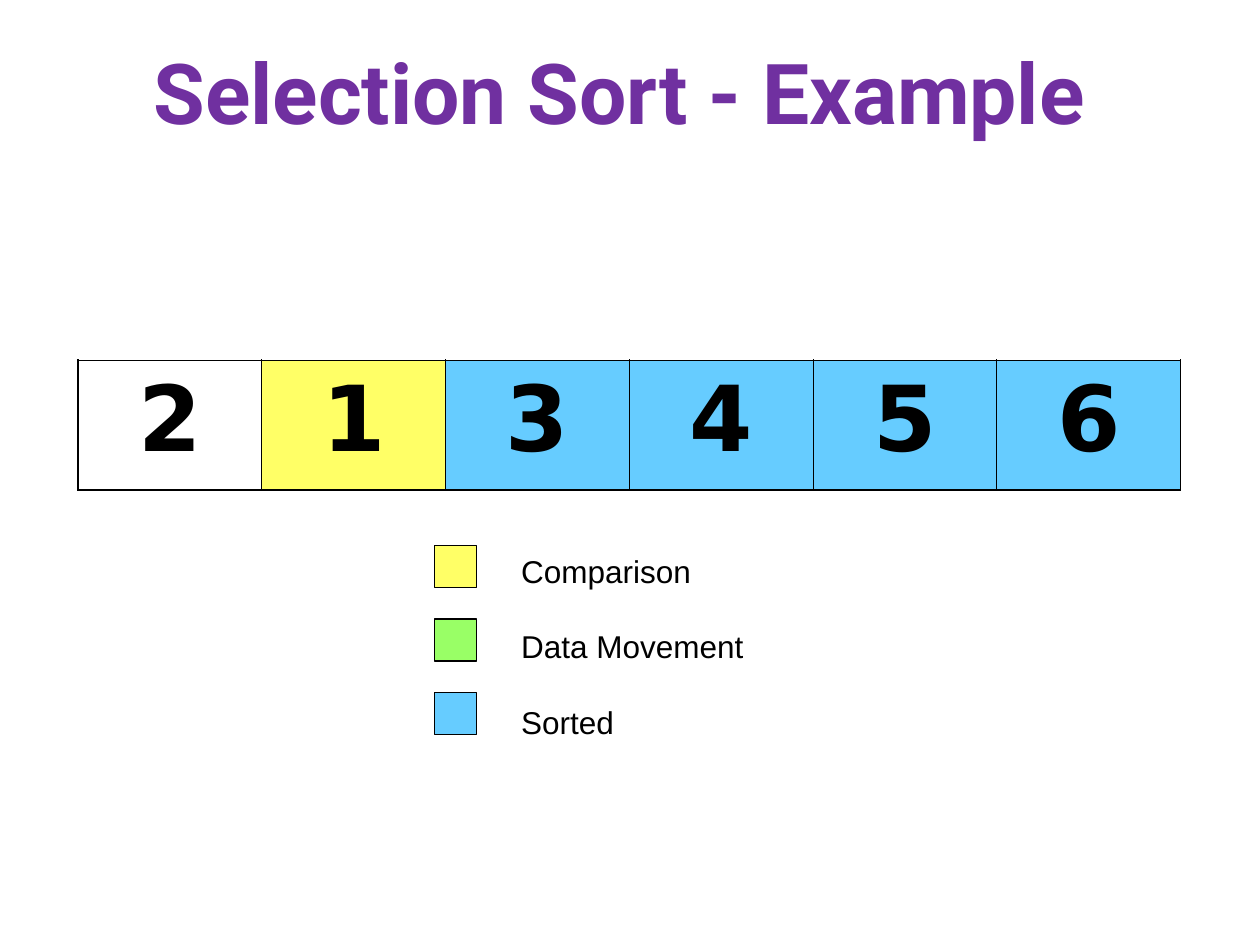
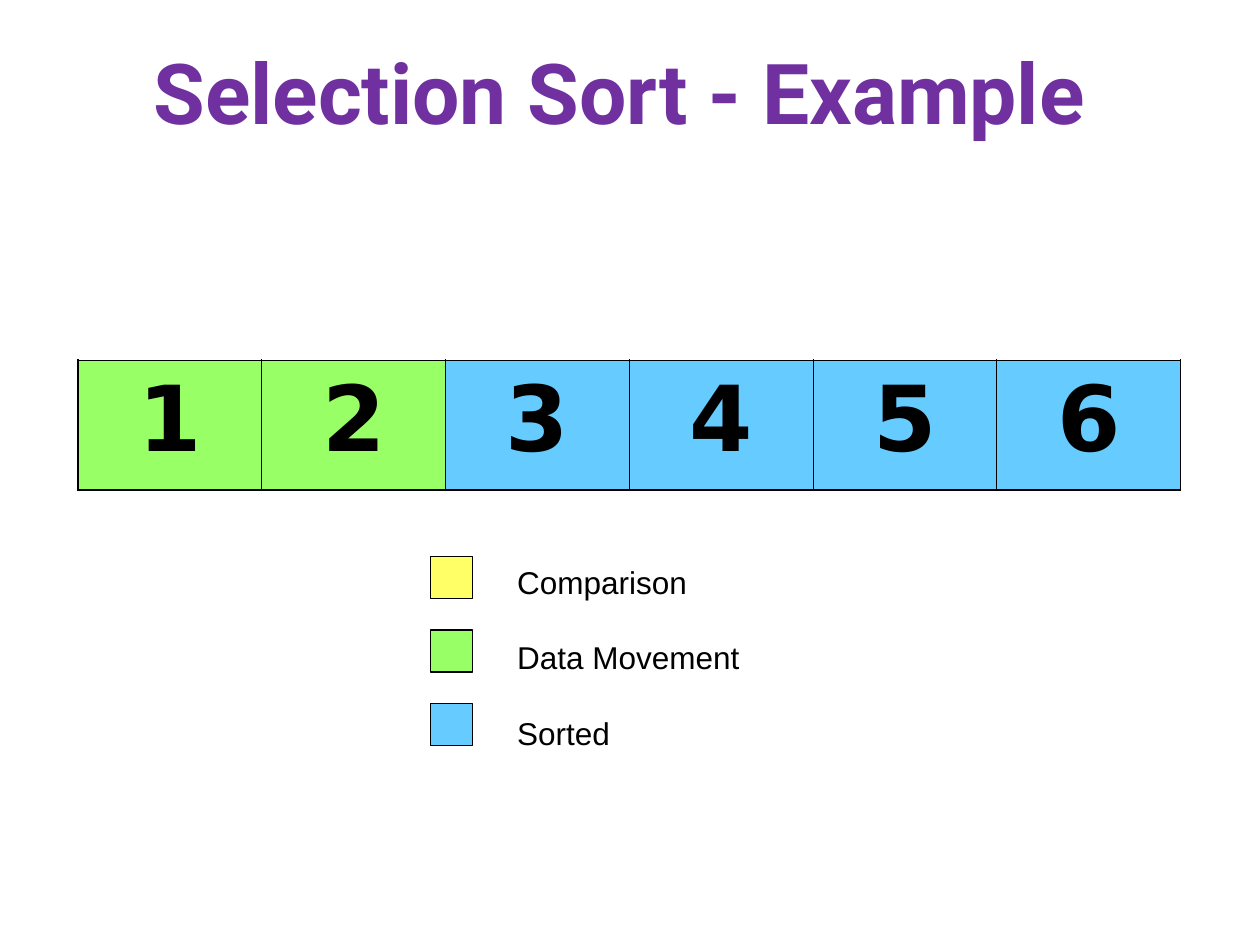
"""Build two selection sort slides, each with an array row and a colour legend."""
from collections import namedtuple
from dataclasses import dataclass

from lxml.etree import SubElement
from pptx import Presentation
from pptx.dml.color import RGBColor
from pptx.enum.shapes import MSO_SHAPE
from pptx.enum.text import MSO_ANCHOR, MSO_AUTO_SIZE, PP_ALIGN
from pptx.oxml.ns import qn
from pptx.util import Pt

Box = namedtuple("Box", "left top width height")


@dataclass(frozen=True)
class Theme:
    """Colours, fonts and type sizes shared by the slides."""

    title: str = "7030A0"
    ink: str = "000000"
    comparison: str = "FFFF66"
    movement: str = "99FF66"
    sorted: str = "66CCFF"
    title_font: str = "Roboto"
    digit_font: str = "DejaVu Sans"
    label_font: str = "Arial"
    title_size: float = 48
    digit_size: float = 52
    label_size: float = 18
    label_line: float = 21.6
    outer_border: float = 1.08
    inner_border: float = 0.45
    swatch_border: float = 0.75


THEME = Theme()
LEGEND = [
    ("Comparison", THEME.comparison),
    ("Data Movement", THEME.movement),
    ("Sorted", THEME.sorted),
]
SORTED_TAIL = [(digit, THEME.sorted) for digit in "3456"]
TITLE_BOX = Box(18, 14.4, 684, 75.6)
ARRAY_BOX = Box(44.6, 205.9, 630, 74.2)
STEPS = [
    ([("2", None), ("1", THEME.comparison)], Box(248.4, 311.8, 183.6, 115.2)),
    ([("1", THEME.movement), ("2", THEME.movement)], Box(246.1, 318, 183.6, 115.2)),
]


def in_points(box):
    """Return the four lengths of a box as Pt values."""
    return [Pt(length) for length in box]


def format_runs(paragraph, font_name, size, color, bold=False):
    """Apply one type style to every run of a paragraph."""
    for run in paragraph.runs:
        run.font.name = font_name
        run.font.size = Pt(size)
        run.font.bold = bold
        run.font.color.rgb = RGBColor.from_string(color)


def add_title(slide, box, text):
    """Fill and place the title placeholder."""
    title = slide.shapes.title
    title.left, title.top, title.width, title.height = in_points(box)
    frame = title.text_frame
    frame.text = text
    frame.auto_size = MSO_AUTO_SIZE.NONE
    frame.vertical_anchor = MSO_ANCHOR.MIDDLE
    paragraph = frame.paragraphs[0]
    paragraph.alignment = PP_ALIGN.CENTER
    format_runs(paragraph, THEME.title_font, THEME.title_size, THEME.title, bold=True)


def set_borders(cell, is_first, is_last):
    """Draw heavy borders on the outside of the row and thin ones between cells."""
    outer, inner = THEME.outer_border, THEME.inner_border
    widths = {
        "a:lnL": outer if is_first else inner,
        "a:lnR": outer if is_last else inner,
        "a:lnT": outer,
        "a:lnB": outer,
    }
    properties = cell._tc.get_or_add_tcPr()
    for tag, width in widths.items():
        line = SubElement(properties, qn(tag), w=str(int(Pt(width))))
        fill = SubElement(line, qn("a:solidFill"))
        SubElement(fill, qn("a:srgbClr"), val=THEME.ink)


def add_array(slide, box, items):
    """Add a one-row table of equal cells, one for each digit and its colour."""
    table = slide.shapes.add_table(1, len(items), *in_points(box)).table
    table.first_row = table.horz_banding = False
    for index, (digit, color) in enumerate(items):
        table.columns[index].width = Pt(box.width / len(items))
        cell = table.cell(0, index)
        set_borders(cell, index == 0, index == len(items) - 1)
        if color:
            cell.fill.solid()
            cell.fill.fore_color.rgb = RGBColor.from_string(color)
        else:
            cell.fill.background()
        cell.text_frame.text = digit
        paragraph = cell.text_frame.paragraphs[0]
        paragraph.alignment = PP_ALIGN.CENTER
        format_runs(paragraph, THEME.digit_font, THEME.digit_size, THEME.ink, bold=True)


def add_legend(slide, box):
    """Add a column of colour swatches with their labels beside it."""
    swatch, pitch, indent = 24, 42, 42.3
    for index, (label, color) in enumerate(LEGEND):
        place = Box(box.left, box.top + index * pitch, swatch, swatch)
        shape = slide.shapes.add_shape(MSO_SHAPE.RECTANGLE, *in_points(place))
        shape.shadow.inherit = False
        shape.fill.solid()
        shape.fill.fore_color.rgb = RGBColor.from_string(color)
        shape.line.color.rgb = RGBColor.from_string(THEME.ink)
        shape.line.width = Pt(THEME.swatch_border)

    place = Box(box.left + indent, box.top, box.width - indent, box.height)
    frame = slide.shapes.add_textbox(*in_points(place)).text_frame
    frame.word_wrap = False
    frame.auto_size = MSO_AUTO_SIZE.SHAPE_TO_FIT_TEXT
    frame.text = "\n".join(label for label, color in LEGEND)
    for index, paragraph in enumerate(frame.paragraphs):
        paragraph.line_spacing = Pt(THEME.label_line)
        if index:
            paragraph.space_before = Pt(THEME.label_line)
        format_runs(paragraph, THEME.label_font, THEME.label_size, THEME.ink)


def add_step_slide(presentation, items, legend_box):
    """Add one sorting step: title, array row and legend."""
    slide = presentation.slides.add_slide(presentation.slide_layouts[5])
    add_title(slide, TITLE_BOX, "Selection Sort - Example ")
    add_array(slide, ARRAY_BOX, items)
    add_legend(slide, legend_box)


def main():
    """Build and save the presentation."""
    presentation = Presentation()
    presentation.slide_width, presentation.slide_height = Pt(720), Pt(540)
    for unsorted_items, legend_box in STEPS:
        add_step_slide(presentation, unsorted_items + SORTED_TAIL, legend_box)
    presentation.save("out.pptx")


if __name__ == "__main__":
    main()
